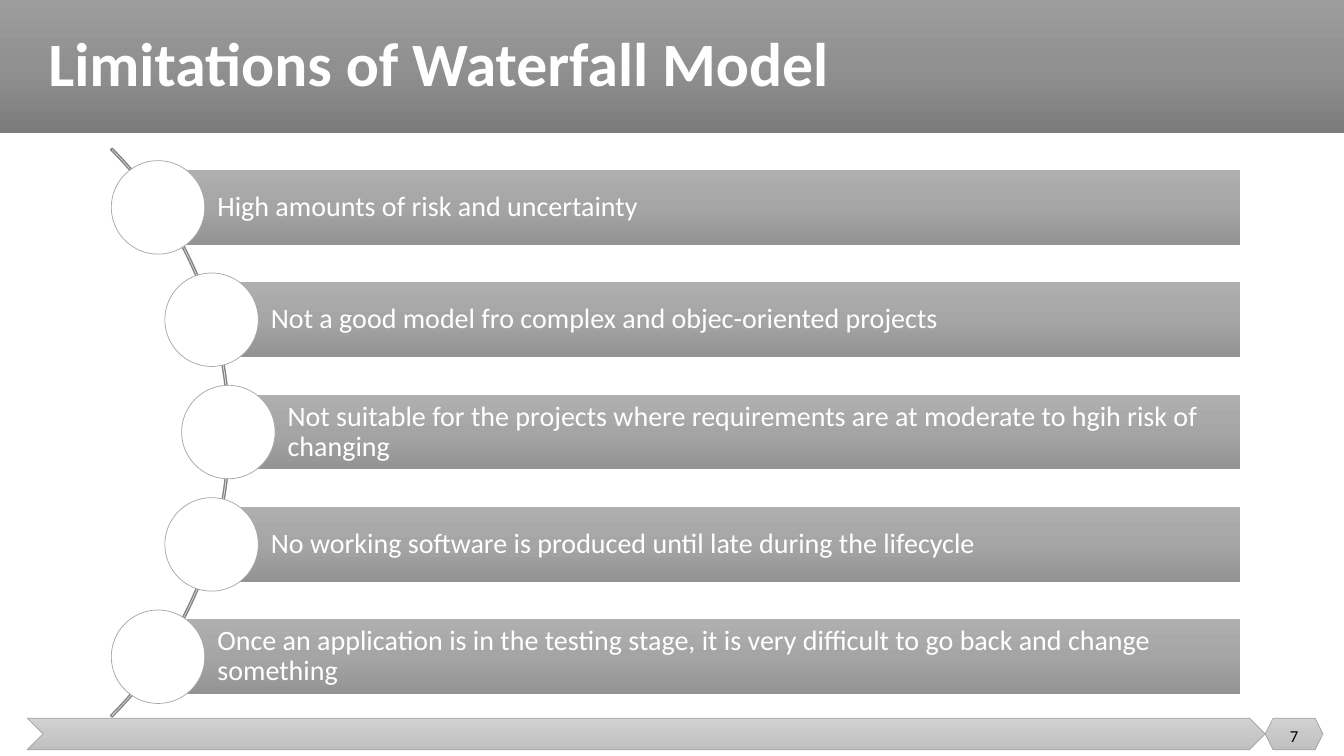
from copy import deepcopy

from pptx import Presentation
from pptx.dml.color import RGBColor
from pptx.enum.shapes import MSO_SHAPE
from pptx.enum.text import MSO_ANCHOR, PP_ALIGN
from pptx.util import Emu, Pt

SCALE = 9525
HEAD = ("9D9D9D", "909090", "7C7C7C")
BAR = ("AFAFAF", "A5A5A5", "939393")
FOOT = ("D2D2D2", "C8C8C8", "C0C0C0")
LIMITS = (
    (150, "High amounts of risk and uncertainty"),
    (201, "Not a good model fro complex and objec-oriented projects"),
    (217, "Not suitable for the projects where requirements are at "
          "moderate to hgih risk of changing"),
    (201, "No working software is produced until late during the lifecycle"),
    (150, "Once an application is in the testing stage, it is very "
          "difficult to go back and change something"),
)


def px(*sizes):
    """Turn pixel lengths into EMU."""
    return [Emu(size * SCALE) for size in sizes]


def color(code):
    """Turn a hex string into a colour."""
    return RGBColor.from_string(code)


def blend(shape, tones):
    """Fill a shape from top to bottom through three tones."""
    fill = shape.fill
    fill.gradient()
    fill.gradient_angle = 270
    stops = shape.element.xpath("./p:spPr/a:gradFill/a:gsLst")[0]
    stops.append(deepcopy(stops[0]))
    for i, (stop, tone) in enumerate(zip(fill.gradient_stops, tones)):
        stop.position = i / 2
        stop.color.rgb = color(tone)


def draw(slide, kind, box, tones=(), line=None, width=0.5):
    """Add a preset shape with no fill, one tone or a blend."""
    shape = slide.shapes.add_shape(kind, *px(*box))
    shape.shadow.inherit = False
    if len(tones) > 1:
        blend(shape, tones)
    elif tones:
        shape.fill.solid()
        shape.fill.fore_color.rgb = color(tones[0])
    else:
        shape.fill.background()
    if line:
        shape.line.color.rgb = color(line)
        shape.line.width = Pt(width)
    else:
        shape.line.fill.background()
    return shape


def write(shape, text, size=20, tone="FFFFFF", bold=False,
          align=PP_ALIGN.LEFT, space=0.9, inset=(10, 5, 10, 5)):
    """Set the text of a shape and its format."""
    frame = shape.text_frame
    frame.word_wrap = True
    frame.vertical_anchor = MSO_ANCHOR.MIDDLE
    (frame.margin_left, frame.margin_top,
     frame.margin_right, frame.margin_bottom) = px(*inset)
    para = frame.paragraphs[0]
    para.text = text
    para.alignment = align
    para.line_spacing = space
    font = para.font
    font.name, font.size, font.bold = "Calibri", Pt(size), bold
    font.color.rgb = color(tone)


def label(slide, box, text, **style):
    """Add a text box."""
    write(slide.shapes.add_textbox(*px(*box)), text, **style)


def frame(slide):
    """Add the title band and the footer."""
    draw(slide, MSO_SHAPE.RECTANGLE, (0, 0, 1280, 127), HEAD)
    draw(slide, MSO_SHAPE.CHEVRON, (26, 684, 1179, 30), FOOT, "A5A5A5")
    draw(slide, MSO_SHAPE.HEXAGON, (1205, 684, 55, 30), FOOT, "A5A5A5")
    label(slide, (36, 0, 1223, 127), "Limitations of Waterfall Model",
          size=44, bold=True)
    label(slide, (1205, 682, 55, 38), "7", size=12, tone="000000",
          align=PP_ALIGN.CENTER, space=1.0)


def curve(slide):
    """Add the thin arc behind the list."""
    arc = draw(slide, MSO_SHAPE.BLOCK_ARC, (-547, 29, 766, 766),
               line="848484", width=1)
    for i, value in enumerate((189, 27, 1 / 370)):
        arc.adjustments[i] = value


def item(slide, left, top, text):
    """Add a bar with its text and the circle on its left end."""
    bar = draw(slide, MSO_SHAPE.RECTANGLE, (left, top, 1181 - left, 71), BAR)
    write(bar, text, inset=(57, 6, 6, 6))
    draw(slide, MSO_SHAPE.OVAL, (left - 44, top - 9, 89, 89),
         ("FFFFFF",), "A5A5A5")


def main():
    """Build the slide and save it."""
    deck = Presentation()
    deck.slide_width, deck.slide_height = px(1280, 720)
    slide = deck.slides.add_slide(deck.slide_layouts[6])
    frame(slide)
    curve(slide)
    for i, (left, text) in enumerate(LIMITS):
        item(slide, left, 162 + 107 * i, text)
    deck.save("out.pptx")


if __name__ == "__main__":
    main()
